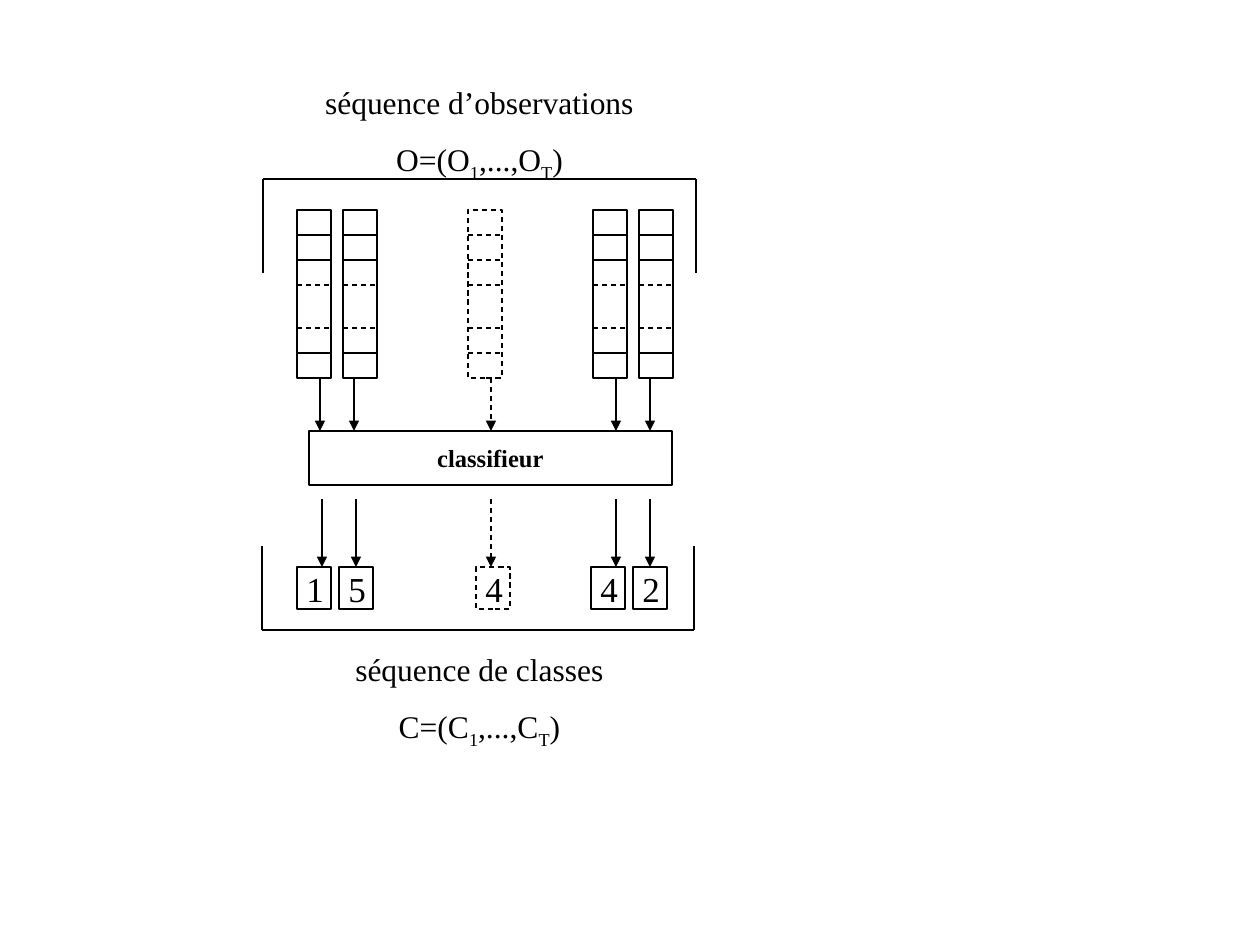
from lxml.etree import SubElement
from pptx import Presentation
from pptx.dml.color import RGBColor
from pptx.enum.dml import MSO_LINE
from pptx.enum.shapes import MSO_CONNECTOR, MSO_SHAPE
from pptx.enum.text import MSO_ANCHOR, PP_ALIGN
from pptx.oxml.ns import qn
from pptx.util import Pt

PX = 914400 / 126
BLACK = RGBColor(0, 0, 0)
FONT = "Times New Roman"
DASHED_INDEX = 2


def px(*lengths):
    """Turn pixel lengths into EMU."""
    return [round(length * PX) for length in lengths]


def style_line(line, dashed):
    """Give a line the thin black pen, dashed on demand."""
    line.color.rgb = BLACK
    line.width = Pt(0.75)
    if dashed:
        line.dash_style = MSO_LINE.DASH


def style_font(font, size, bold=False):
    """Set the typeface, size and colour of a font."""
    font.name = FONT
    font.size = Pt(size)
    font.bold = bold
    font.color.rgb = BLACK


def add_line(slide, start, end, dashed=False, arrow=False):
    """Draw a straight line, with an arrowhead at its end on demand."""
    connector = slide.shapes.add_connector(MSO_CONNECTOR.STRAIGHT, *px(*start, *end))
    style_line(connector.line, dashed)
    properties = connector.element.spPr
    if arrow:
        SubElement(properties.find(qn("a:ln")), qn("a:tailEnd"), type="triangle")
    SubElement(properties, qn("a:effectLst"))


def add_box(slide, left, top, width, height, dashed=False):
    """Draw an unfilled rectangle."""
    shape = slide.shapes.add_shape(MSO_SHAPE.RECTANGLE, *px(left, top, width, height))
    shape.shadow.inherit = False
    shape.fill.background()
    style_line(shape.line, dashed)
    return shape


def add_text_box(slide, left, top, width, height):
    """Add a wrapping text box and return its text frame."""
    text_frame = slide.shapes.add_textbox(*px(left, top, width, height)).text_frame
    text_frame.word_wrap = True
    text_frame.margin_top = px(10)[0]
    return text_frame


def add_observation(slide, left, top, width, height, dashed):
    """Draw one observation vector divided into cells."""
    add_box(slide, left, top, width, height, dashed)
    for offset, dashed_rule in ((25, False), (50, False), (75, True), (118, True), (143, False)):
        y = top + offset
        add_line(slide, (left, y), (left + width, y), dashed or dashed_rule)


def add_class_label(slide, left, top, width, height, digit, dashed):
    """Draw one class number in its box."""
    add_box(slide, left, top, width, height, dashed)
    text_frame = add_text_box(slide, left - 3, top - 10, width + 19, height + 13)
    text_frame.text = digit
    style_font(text_frame.paragraphs[0].font, 20)


def add_arrows(slide, centers, top, bottom):
    """Draw a row of downward arrows."""
    for index, x in enumerate(centers):
        add_line(slide, (x, top), (x, bottom), index == DASHED_INDEX, arrow=True)


def add_bracket(slide, left, right, bar, tip):
    """Draw a bracket with its bar at one height and its tips at another."""
    for x in (left, right):
        add_line(slide, (x, bar), (x, tip))
    add_line(slide, (right, bar), (left, bar))


def add_sequence_title(slide, left, top, width, height, title, letter):
    """Write a sequence name above its formula with subscripts."""
    text_frame = add_text_box(slide, left, top, width, height)
    text_frame.text = title
    formula = text_frame.add_paragraph()
    formula.space_before = Pt(11.2)
    for index, part in enumerate((f"{letter}=({letter}", "1", f",...,{letter}", "T", ")")):
        run = formula.add_run()
        run.text = part
        if index % 2:
            run.font._element.set("baseline", "-25000")
    for paragraph in text_frame.paragraphs:
        paragraph.alignment = PP_ALIGN.CENTER
        for run in paragraph.runs:
            style_font(run.font, 18)


def add_classifier(slide, left, top, width, height):
    """Draw the classifier block."""
    text_frame = add_box(slide, left, top, width, height).text_frame
    text_frame.vertical_anchor = MSO_ANCHOR.MIDDLE
    text_frame.text = "classifieur"
    paragraph = text_frame.paragraphs[0]
    paragraph.alignment = PP_ALIGN.CENTER
    style_font(paragraph.runs[0].font, 14, bold=True)


def add_observations(slide):
    """Place the observation sequence with its title and bracket."""
    for index, left in enumerate((297, 343, 468, 593, 639)):
        add_observation(slide, left, 210, 34, 168, index == DASHED_INDEX)
    add_bracket(slide, 263, 696, 179, 273)
    add_sequence_title(slide, 252, 73, 455, 113, "séquence d’observations", "O")


def add_classes(slide):
    """Place the class sequence with its title and bracket."""
    add_bracket(slide, 262, 694, 630, 546)
    for index, (left, digit) in enumerate(zip((297, 339, 476, 591, 633), "15442")):
        add_class_label(slide, left, 567, 34, 42, digit, index == DASHED_INDEX)
    add_sequence_title(slide, 252, 640, 455, 113, "séquence de classes", "C")


def main():
    """Build and save the slide."""
    presentation = Presentation()
    presentation.slide_width, presentation.slide_height = px(1260, 945)
    slide = presentation.slides.add_slide(presentation.slide_layouts[6])
    add_observations(slide)
    add_arrows(slide, (320, 354, 491, 616, 650), 378, 431)
    add_classifier(slide, 309, 431, 363, 54)
    add_arrows(slide, (322, 356, 491, 616, 650), 499, 567)
    add_classes(slide)
    presentation.save("out.pptx")


if __name__ == "__main__":
    main()
